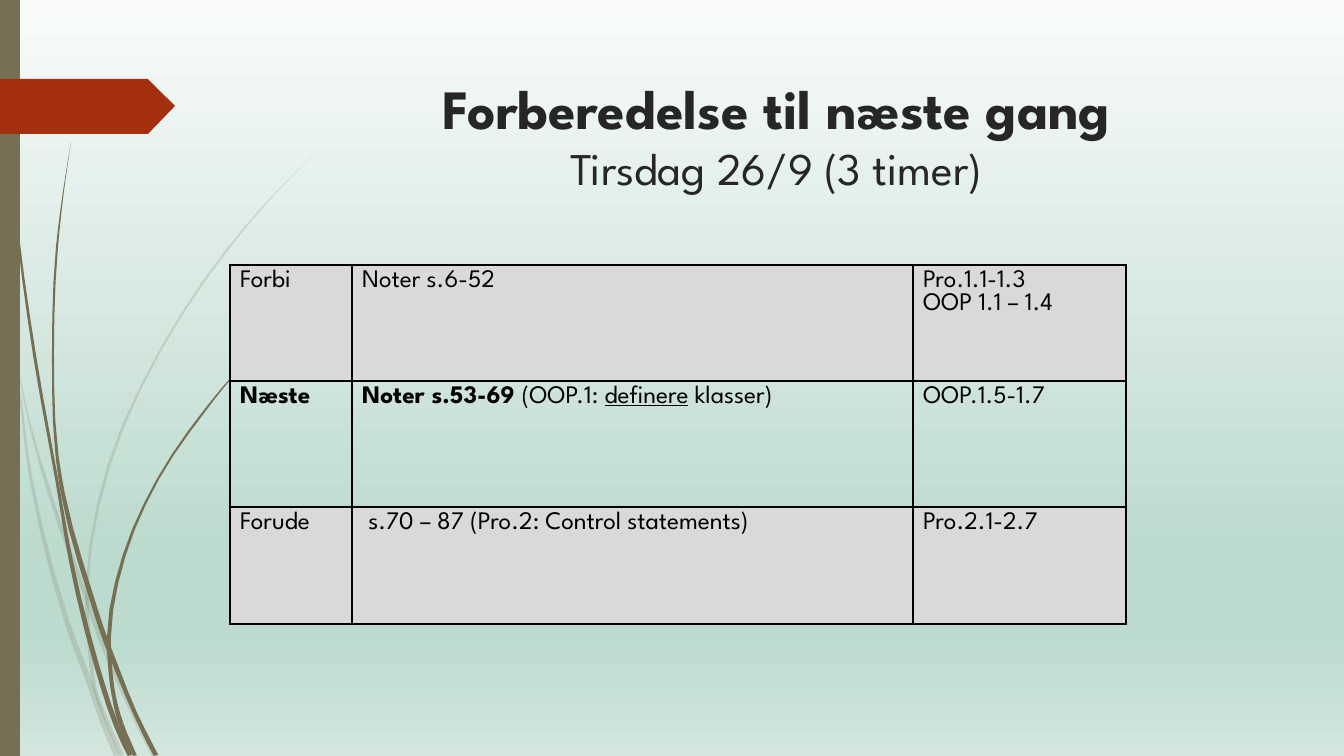
import copy
import math

from lxml import etree
from pptx import Presentation
from pptx import util as u
from pptx.dml.color import RGBColor
from pptx.enum import shapes, text
from pptx.oxml.ns import qn

EMU_PER_PIXEL = 914400 / 100.8
PAGE_WIDTH, PAGE_HEIGHT = 1344, 756
FONT = "League Spartan"

OLIVE = RGBColor(0x76, 0x6F, 0x54)
RUST = RGBColor(0xA5, 0x30, 0x10)
INK = RGBColor(0x26, 0x26, 0x26)
BLACK = RGBColor(0, 0, 0)
GREY = RGBColor(0xD9, 0xD9, 0xD9)
BACKGROUND = [
    (0, RGBColor(0xF8, 0xFB, 0xFA)),
    (0.74, RGBColor(0xBC, 0xDA, 0xCE)),
    (0.83, RGBColor(0xBC, 0xDA, 0xCE)),
    (1, RGBColor(0xD2, 0xE6, 0xDE)),
]

TITLE_LINES = [("Forberedelse til næste gang", 39.6, True),
               ("Tirsdag 26/9 (3 timer)", 32.4, False)]
TITLE_BOX = (285, 69, 983, 141)

# Each cell is a list of paragraphs, each paragraph a list of (words, style).
PLAN = [
    (GREY, [[[("Forbi", "")]],
            [[("Noter s.6-52", "")]],
            [[("Pro.1.1-1.3", "")], [("OOP 1.1 – 1.4", "")]]]),
    (None, [[[("Næste", "bold")]],
            [[("Noter s.53-69 ", "bold"), ("(OOP.1: ", ""),
              ("definere", "underline"), (" klasser)", "")]],
            [[("OOP.1.5-1.7", "")]]]),
    (GREY, [[[("Forude", "")]],
            [[(" s.70 – 87 (Pro.2: Control statements)", "")]],
            [[("Pro.2.1-2.7", "")]]]),
]
PLAN_CORNER = (230, 265)
COLUMN_WIDTHS = [122, 561, 213]
ROW_HEIGHTS = [116, 126, 117]

SIDE_BAR = (0, 0, 20, PAGE_HEIGHT)
ARROW_TAB = [(0, 79), (148, 79), (175, 106), (148, 134), (0, 134)]

# Grass blades: middle points (x, y, thickness), grouped in sections.
PALE_BLADES = [
    [[(0, 293, 3), (11, 353, 2)],
     [(17, 379, 2), (30, 474, 3), (68, 625, 5), (92, 690, 6), (102, 719, 6)],
     [(117, 756, 6)]],
    [[(14, 348, 0), (30, 425, 2), (60, 525, 4), (86, 597, 4)],
     [(89, 607, 4)],
     [(126, 699, 4), (154, 756, 5)]],
    [[(314, 154, 0), (270, 199, 1), (230, 246, 2), (160, 351, 2),
      (109, 465, 3), (87, 589, 3)],
     [(87, 610, 4), (90, 651, 4), (95, 690, 4)],
     [(106, 719, 4)],
     [(122, 756, 5)]],
]
DARK_BLADES = [
    [[(4, 0, 1), (5, 48, 1), (8, 111, 1), (18, 235, 2), (35, 358, 3),
      (57, 481, 3)],
     [(71, 561, 4), (96, 663, 5), (117, 727, 5)],
     [(130, 756, 5)]],
    [[(71, 142, 0), (63, 195, 1), (57, 247, 2), (53, 352, 2), (57, 455, 3)],
     [(63, 494, 4)],
     [(91, 596, 5), (107, 644, 5)],
     [(111, 654, 5)],
     [(135, 713, 4), (156, 756, 5)]],
    [[(262, 347, 0), (233, 376, 1), (206, 409, 2), (158, 479, 2),
      (124, 556, 3), (109, 637, 4)],
     [(110, 665, 4), (114, 697, 4)],
     [(121, 724, 5)],
     [(135, 756, 4)]],
]


def emu(pixels):
    """Turn pixels into EMU."""
    return u.Emu(round(pixels * EMU_PER_PIXEL))


def smooth_path(points, steps=3):
    """Return a smooth run of points, with a fixed number for each step."""
    gaps = [math.dist(a[:2], b[:2]) for a, b in zip(points, points[1:])]
    chords = [[(q - p) / gap for p, q in zip(a, b)]
              for a, b, gap in zip(points, points[1:], gaps)]
    slopes = [chords[0]]
    for before, after, g, h in zip(chords, chords[1:], gaps, gaps[1:]):
        slopes.append([(m * h + n * g) / (g + h)
                       for m, n in zip(before, after)])
    slopes.append(chords[-1])
    path = []
    for i, gap in enumerate(gaps):
        for t in (step / steps for step in range(steps)):
            path.append(tuple(
                p + (q - p) * t * t * (3 - 2 * t)
                + gap * t * (1 - t) * (m * (1 - t) - n * t)
                for p, q, m, n in zip(points[i], points[i + 1],
                                      slopes[i], slopes[i + 1])))
    return path + [points[-1]]


def blade_outlines(sections, steps=3):
    """Return one closed outline for each section of a blade."""
    path = smooth_path(sum(sections, []), steps)
    left, right = [], []
    for before, (x, y, thick), after in zip(path[:1] + path, path,
                                            path[1:] + path[-1:]):
        dx, dy = after[0] - before[0], after[1] - before[1]
        half = thick / 2 / math.hypot(dx, dy)
        for side, sign in ((left, 1), (right, -1)):
            edge_y = min(max(y + sign * dx * half, 0), PAGE_HEIGHT)
            side.append((x - sign * dy * half, edge_y))
    start, end, outlines = 0, -steps, []
    for section in sections:
        end += len(section) * steps
        outlines.append(left[start:end + 1] + right[start:end + 1][::-1])
        start = end
    return outlines


def paint(shape, color, opacity=100):
    """Give a shape a plain fill without line or shadow."""
    shape.shadow.inherit = False
    shape.line.fill.background()
    shape.fill.solid()
    shape.fill.fore_color.rgb = color
    if opacity < 100:
        tint = shape.element.spPr.find(".//" + qn("a:srgbClr"))
        etree.SubElement(tint, qn("a:alpha"), val=str(opacity * 1000))


def add_outline(page, points, color, opacity=100):
    """Draw a filled outline through points in pixels."""
    first, *others = [(emu(x), emu(y)) for x, y in points]
    builder = page.shapes.build_freeform(*first, scale=1.0)
    builder.add_line_segments(others, close=True)
    paint(builder.convert_to_shape(), color, opacity)


def add_background(page):
    """Fill the page with the green gradient."""
    fill = page.background.fill
    fill.gradient()
    fill.gradient_angle = 270
    stop_list = page.element.find(".//" + qn("a:gsLst"))
    while len(stop_list) < len(BACKGROUND):
        stop_list.append(copy.deepcopy(stop_list[0]))
    for stop, (position, color) in zip(fill.gradient_stops, BACKGROUND):
        stop.position = position
        stop.color.rgb = color


def add_decoration(page):
    """Draw the grass, the side bar and the arrow tab."""
    for blades, opacity in ((PALE_BLADES, 20), (DARK_BLADES, 100)):
        for sections in blades:
            for outline in blade_outlines(sections):
                add_outline(page, outline, OLIVE, opacity)
    bar = page.shapes.add_shape(shapes.MSO_SHAPE.RECTANGLE,
                                *map(emu, SIDE_BAR))
    paint(bar, OLIVE)
    add_outline(page, ARROW_TAB, RUST)


def format_span(span, size, color, bold=False, underline=False):
    """Set the font of a run."""
    span.font.name, span.font.size = FONT, u.Pt(size)
    span.font.color.rgb = color
    span.font.bold, span.font.underline = bold, underline


def add_title(page):
    """Fill and place the title."""
    title = page.shapes.title
    title.left, title.top, title.width, title.height = map(emu, TITLE_BOX)
    frame = title.text_frame
    frame.text = "\v".join(line for line, _, _ in TITLE_LINES)
    frame.word_wrap = True
    frame.auto_size = text.MSO_AUTO_SIZE.NONE
    frame.vertical_anchor = text.MSO_ANCHOR.TOP
    frame.margin_top = emu(18)
    para = frame.paragraphs[0]
    para.alignment = text.PP_ALIGN.CENTER
    para.line_spacing = u.Pt(38.5)
    for span, (_, size, bold) in zip(para.runs, TITLE_LINES):
        format_span(span, size, INK, bold)


def add_borders(cell):
    """Draw a thin black line on each side of a cell."""
    props = cell._tc.get_or_add_tcPr()
    for place, side in enumerate(("a:lnL", "a:lnR", "a:lnT", "a:lnB")):
        line = etree.Element(qn(side), w=str(u.Pt(1)))
        fill = etree.SubElement(line, qn("a:solidFill"))
        etree.SubElement(fill, qn("a:srgbClr"), val=str(BLACK))
        props.insert(place, line)


def fill_cell(cell, paragraphs, color):
    """Write the paragraphs of a cell and set its look."""
    cell.fill.background()
    if color is not None:
        cell.fill.solid()
        cell.fill.fore_color.rgb = color
    add_borders(cell)
    frame = cell.text_frame
    for number, spans in enumerate(paragraphs):
        para = frame.add_paragraph() if number else frame.paragraphs[0]
        for words, style in spans:
            span = para.add_run()
            span.text = words
            format_span(span, 18, BLACK, style == "bold", style == "underline")


def add_plan(page):
    """Add the reading plan table."""
    size = (sum(COLUMN_WIDTHS), sum(ROW_HEIGHTS))
    table = page.shapes.add_table(len(PLAN), len(COLUMN_WIDTHS),
                                  *map(emu, PLAN_CORNER + size)).table
    table.first_row = table.horz_banding = False
    for column, width in zip(table.columns, COLUMN_WIDTHS):
        column.width = emu(width)
    for row, height, (color, cells) in zip(table.rows, ROW_HEIGHTS, PLAN):
        row.height = emu(height)
        for cell, paragraphs in zip(row.cells, cells):
            fill_cell(cell, paragraphs, color)


deck = Presentation()
deck.slide_width, deck.slide_height = emu(PAGE_WIDTH), emu(PAGE_HEIGHT)
page = deck.slides.add_slide(deck.slide_layouts[5])
add_background(page)
add_decoration(page)
add_title(page)
add_plan(page)
deck.save("out.pptx")
